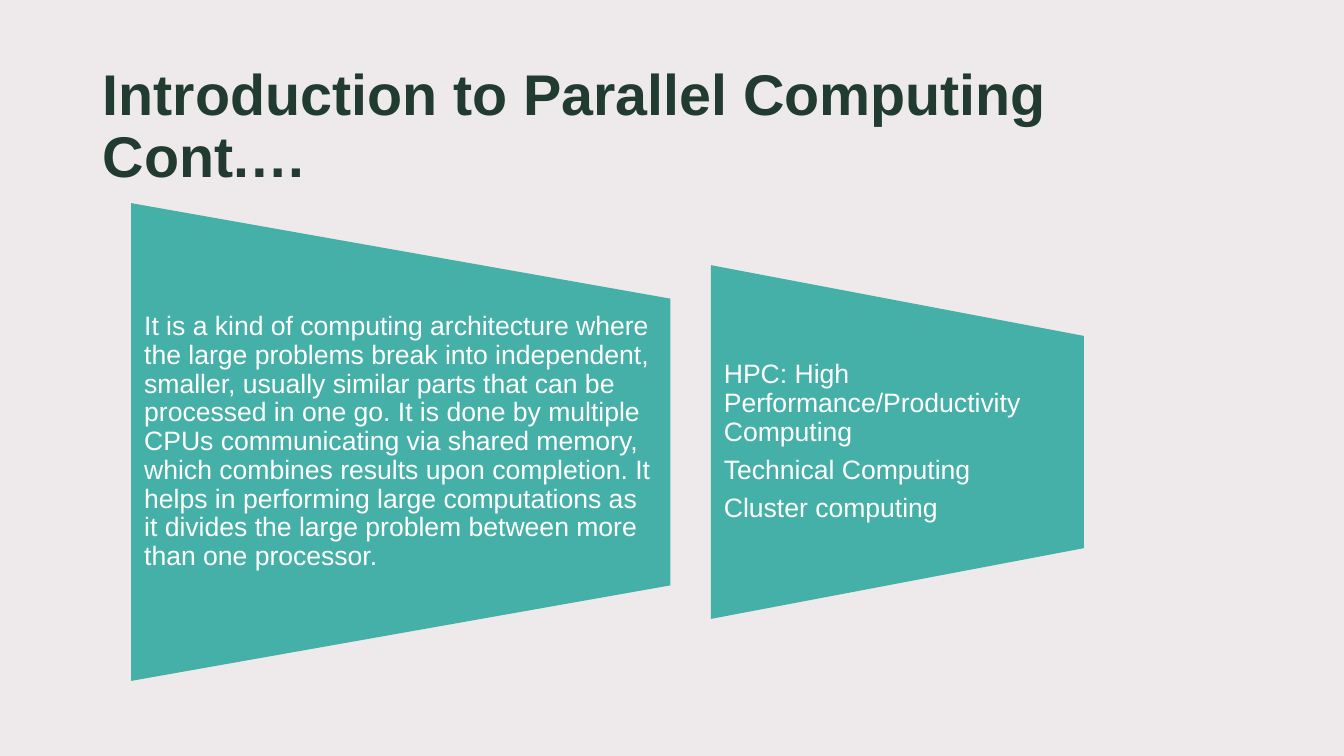
from dataclasses import dataclass

from lxml.etree import SubElement
from pptx import Presentation
from pptx.dml.color import RGBColor
from pptx.enum.shapes import MSO_SHAPE
from pptx.enum.text import MSO_ANCHOR
from pptx.oxml.ns import qn
from pptx.util import Inches, Pt

WHITE = RGBColor(0xFF, 0xFF, 0xFF)
MIST = RGBColor(0xE8, 0xE2, 0xE3)
TEAL = RGBColor(0x45, 0xB0, 0xA7)
DARK_GREEN = RGBColor(0x21, 0x3B, 0x31)
FONT = "Arial"
SLIDE_W, SLIDE_H = 13.33, 7.5
PANEL_MIDDLE = 4.385


@dataclass
class Panel:
    left: float
    width: float
    height: float
    paragraphs: list[str]


PANELS = [
    Panel(1.3, 5.35, 4.74, [
        "It is a kind of computing architecture where the large problems break "
        "into independent, smaller, usually similar parts that can be processed "
        "in one go. It is done by multiple CPUs communicating via shared memory, "
        "which combines results upon completion. It helps in performing large "
        "computations as it divides the large problem between more than one "
        "processor.",
    ]),
    Panel(7.05, 3.7, 3.51, [
        "HPC: High Performance/Productivity Computing",
        "Technical Computing",
        "Cluster computing",
    ]),
]


def add_filled(slide, kind: MSO_SHAPE, left: float, top: float, width: float,
               height: float, color: RGBColor):
    sp = slide.shapes.add_shape(kind, Inches(left), Inches(top),
                                Inches(width), Inches(height))
    sp.shadow.inherit = False
    sp.fill.solid()
    sp.fill.fore_color.rgb = color
    sp.line.fill.background()
    return sp


def add_text(slide, paragraphs: list[str], left: float, top: float, width: float,
             height: float, *, size: float, color: RGBColor, bold: bool = False,
             anchor: MSO_ANCHOR = MSO_ANCHOR.TOP, inset_x: float = 0.1,
             inset_y: float = 0.05, gap: float = 0) -> None:
    tf = slide.shapes.add_textbox(Inches(left), Inches(top), Inches(width),
                                  Inches(height)).text_frame
    tf.word_wrap = True
    tf.vertical_anchor = anchor
    tf.margin_left = tf.margin_right = Inches(inset_x)
    tf.margin_top = tf.margin_bottom = Inches(inset_y)
    for i, text in enumerate(paragraphs):
        p = tf.paragraphs[0] if i == 0 else tf.add_paragraph()
        p.line_spacing = 0.9
        p.space_before = Pt(gap if i else 0)
        r = p.add_run()
        r.text = text
        r.font.name = FONT
        r.font.size = Pt(size)
        r.font.bold = bold
        r.font.color.rgb = color


def add_panel(slide, panel: Panel) -> None:
    center = panel.left + panel.width / 2
    sp = add_filled(slide, MSO_SHAPE.FLOWCHART_MANUAL_OPERATION,
                    center - panel.height / 2, PANEL_MIDDLE - panel.width / 2,
                    panel.height, panel.width, TEAL)
    sp.rotation = 270
    text_height = panel.height * 0.6
    add_text(slide, panel.paragraphs, panel.left, PANEL_MIDDLE - text_height / 2,
             panel.width, text_height, size=19, color=WHITE,
             anchor=MSO_ANCHOR.MIDDLE, inset_x=0.13, inset_y=0, gap=6.7)


def main() -> None:
    prs = Presentation()
    prs.slide_width, prs.slide_height = Inches(SLIDE_W), Inches(SLIDE_H)
    slide = prs.slides.add_slide(prs.slide_layouts[6])
    add_filled(slide, MSO_SHAPE.RECTANGLE, 0, 0, SLIDE_W, SLIDE_H, WHITE)
    tint = add_filled(slide, MSO_SHAPE.RECTANGLE, 0, 0, SLIDE_W, SLIDE_H, MIST)
    rgb = tint.fill._xPr.find(qn("a:solidFill")).find(qn("a:srgbClr"))
    SubElement(rgb, qn("a:alpha")).set("val", "70000")
    add_text(slide, ["Introduction to Parallel Computing Cont.…"],
             0.92, 0.61, 11.32, 1.4, size=41, color=DARK_GREEN, bold=True)
    for panel in PANELS:
        add_panel(slide, panel)
    prs.save("out.pptx")


if __name__ == "__main__":
    main()
